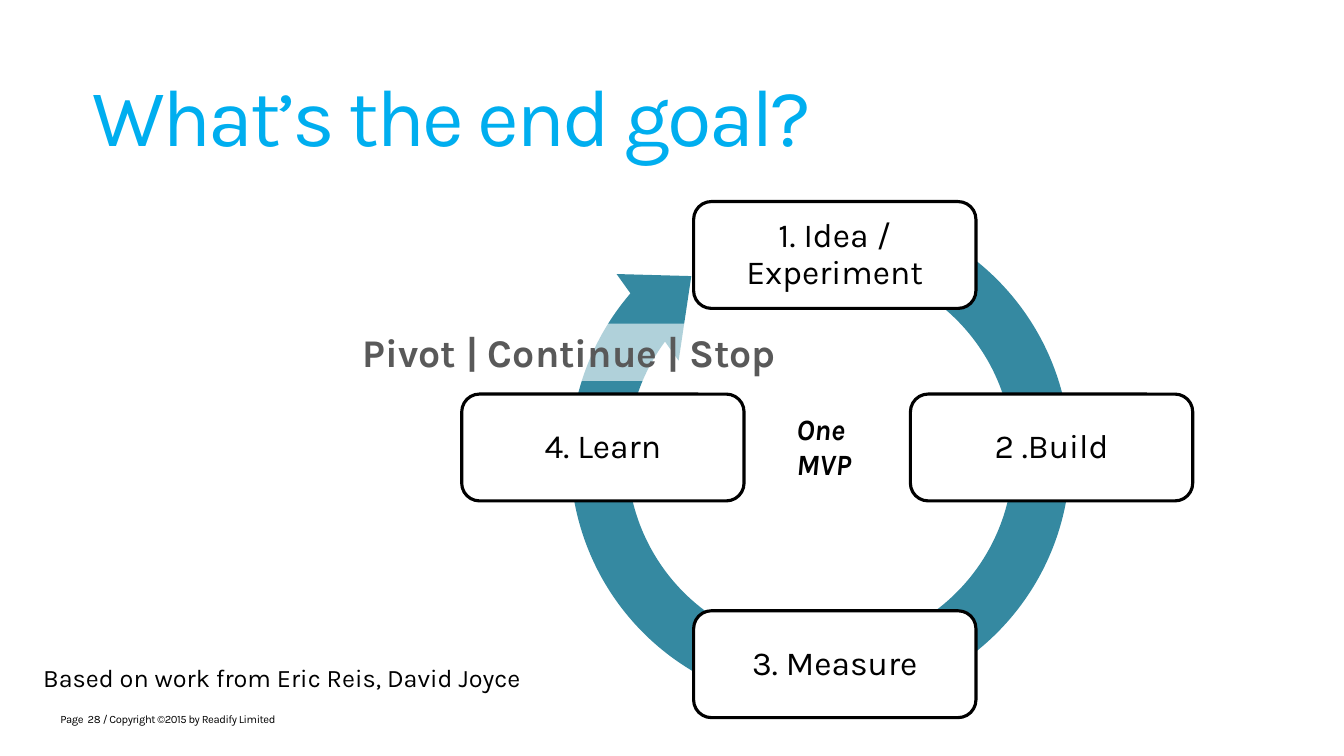
from dataclasses import dataclass

from lxml import etree
from pptx import Presentation
from pptx import util as u
from pptx.dml.color import RGBColor
from pptx.enum import shapes, text
from pptx.oxml.ns import qn

# Content
TITLE = "What’s the end goal?"
STEPS = [  # wording, column, row
    ("1. Idea / Experiment", 1, 0),
    ("2 .Build", 2, 1),
    ("3. Measure", 1, 2),
    ("4. Learn", 0, 1),
]
DECISION = "Pivot | Continue | Stop"
CENTRE = ["One", "MVP"]
CREDIT = "Based on work from Eric Reis, David Joyce"
FOOTER = [("Page", 0.6, 0.3), ("/ Copyright ©2015 by Readify Limited", 1.02, 9.01), ("28", 0.87, 0.24)]


@dataclass
class Theme:
    font: str = "Karla"
    ink: str = "000000"
    paper: str = "FFFFFF"
    title: str = "00AEEF"
    ring: str = "3589A1"
    decision: str = "595959"
    title_size: int = 58
    decision_size: int = 28
    step_size: int = 24
    centre_size: int = 21
    credit_size: int = 18
    footer_size: int = 8


theme = Theme()

# Cycle grid: centres of the columns and rows, in inches
WIDTH, HEIGHT = 13.33, 7.5
COLUMNS = [5.98, 8.28, 10.43]
ROWS = [2.53, 4.44, 6.59]
STEP_SIZE = (2.8, 1.06)
RING = (5.41, 1.8, 5.45, 5.45)
RING_ADJUSTMENTS = [0.104, 9.359, 131.284, 174.944, 0.097]


def inches(*lengths):
    return [u.Inches(length) for length in lengths]


def write(shape, lines, size, color=theme.ink, bold=False, italic=False, spacing=None, insets=None, grow=False, wrap=True):
    frame = shape.text_frame
    frame.word_wrap = wrap
    frame.auto_size = text.MSO_AUTO_SIZE.SHAPE_TO_FIT_TEXT if grow else text.MSO_AUTO_SIZE.NONE
    if insets is not None:
        frame.margin_left = frame.margin_right = u.Inches(insets)
        frame.margin_top = frame.margin_bottom = u.Inches(insets)
    frame.text = "\n".join(lines)
    for para in frame.paragraphs:
        para.alignment = text.PP_ALIGN.LEFT
        for span in para.runs:
            font = span.font
            font.name, font.size = theme.font, u.Pt(size)
            font.bold, font.italic = bold, italic
            font.color.rgb = RGBColor.from_string(color)
            if spacing is not None:
                font._element.set("spc", str(round(spacing * 100)))
    return frame


def add_filled(parent, kind, place, color):
    shape = parent.add_shape(kind, *inches(*place))
    shape.shadow.inherit = False
    shape.fill.solid()
    shape.fill.fore_color.rgb = RGBColor.from_string(color)
    shape.line.fill.background()
    return shape


deck = Presentation()
deck.slide_width, deck.slide_height = inches(WIDTH, HEIGHT)
page = deck.slides.add_slide(deck.slide_layouts[5])
parts = page.shapes

# Title
title = parts.title
title.left, title.top, title.width, title.height = inches(0.92, 0.36, 10.99, 1.25)
frame = write(title, [TITLE], theme.title_size, theme.title, spacing=-2, insets=0)
frame.vertical_anchor = text.MSO_ANCHOR.BOTTOM
frame.paragraphs[0].line_spacing = u.Pt(50)

# Credit
credit = parts.add_textbox(*inches(0.33, 6.52, 5.79, 0.4))
write(credit, [CREDIT], theme.credit_size, grow=True)

# Cycle: ring with the steps on top
cycle = parts.add_group_shape().shapes
ring = add_filled(cycle, shapes.MSO_SHAPE.CIRCULAR_ARROW, RING, theme.ring)
for index, value in enumerate(RING_ADJUSTMENTS):
    ring.adjustments[index] = value

step_width, step_height = STEP_SIZE
for wording, column, row in STEPS:
    place = (COLUMNS[column] - step_width / 2, ROWS[row] - step_height / 2, step_width, step_height)
    box = add_filled(cycle, shapes.MSO_SHAPE.ROUNDED_RECTANGLE, place, theme.paper)
    box.line.color.rgb = RGBColor.from_string(theme.ink)
    box.line.width = u.Pt(2.25)
    frame = write(box, [wording], theme.step_size, insets=0.15)
    frame.vertical_anchor = text.MSO_ANCHOR.MIDDLE
    frame.paragraphs[0].alignment = text.PP_ALIGN.CENTER
    frame.paragraphs[0].line_spacing = 0.9

# Decision over a translucent band
band = add_filled(parts, shapes.MSO_SHAPE.RECTANGLE, (3.5, 3.21, 4.45, 0.57), theme.paper)
tint = band.fill._xPr.find(qn("a:solidFill"))[0]
etree.SubElement(tint, qn("a:alpha")).set("val", "61000")
frame = write(band, [DECISION], theme.decision_size, theme.decision, bold=True, grow=True)
frame.vertical_anchor = text.MSO_ANCHOR.TOP

# Centre label
centre = parts.add_textbox(*inches(7.8, 4.03, 0.84, 0.81))
write(centre, CENTRE, theme.centre_size, bold=True, italic=True, grow=True, wrap=False)

# Footer
for wording, left, width in FOOTER:
    note = parts.add_textbox(*inches(left, 7.07, width, 0.34))
    write(note, [wording], theme.footer_size, spacing=-0.3, insets=0)

deck.save("out.pptx")
